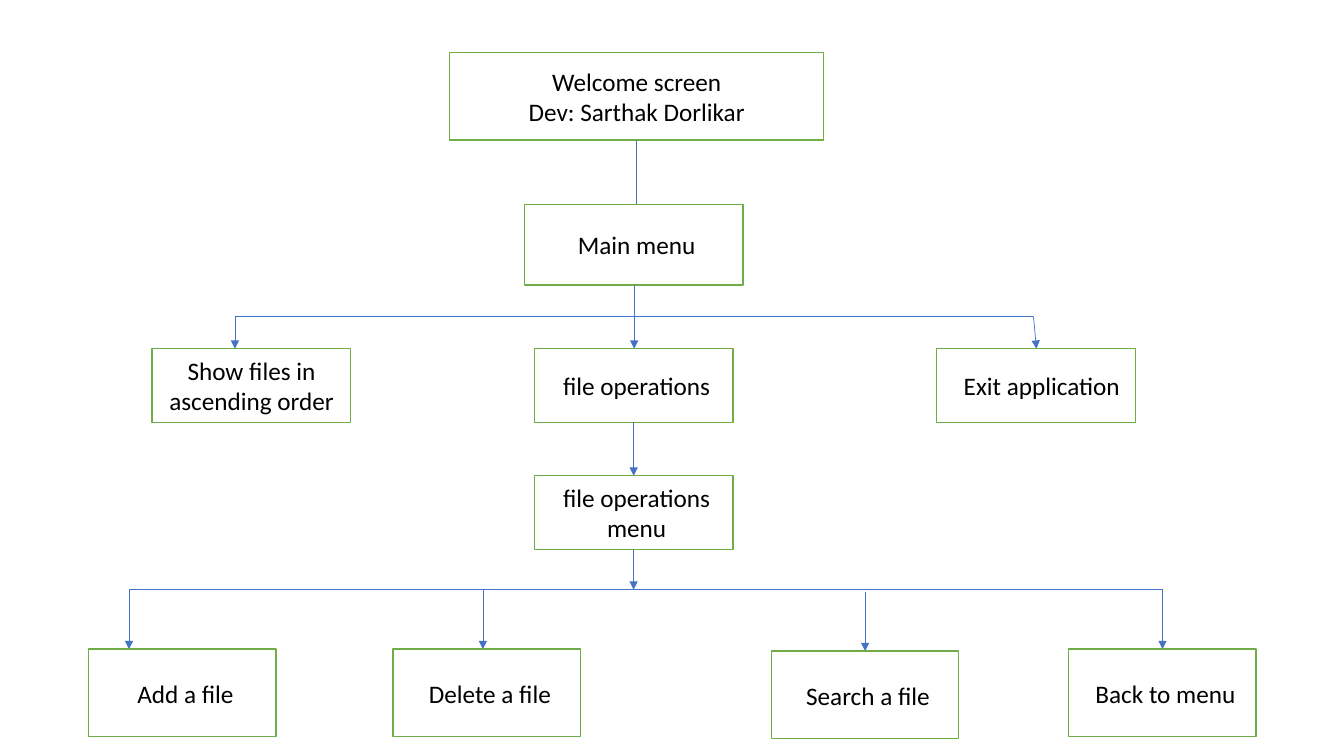
import pptx
import pptx.util
import pptx.dml.color
import pptx.enum.shapes
import pptx.enum.text
import pptx.oxml.ns
import lxml.etree

UNIT = 0.1  # inches per grid column and row
INSET, SPACE = 1, 0.57  # text inset and one indent step, in columns
GREEN, BLUE, WHITE, BLACK = "70AD47", "4472C4", "FFFFFF", "000000"


def grid(n):
    """Turn columns or rows into a length."""
    return pptx.util.Inches(n * UNIT)


def rgb(hex_text):
    """Turn a hex string into a colour."""
    return pptx.dml.color.RGBColor.from_string(hex_text)


def write(tf, text, size=18, font="Calibri", color=BLACK, indent=1):
    """Fill a text frame with centred paragraphs, one a line of text."""
    tf.word_wrap = True
    tf.vertical_anchor = pptx.enum.text.MSO_ANCHOR.MIDDLE
    tf.margin_left = grid(INSET + SPACE * indent)
    for i, line in enumerate(text.split("\n")):
        p = tf.add_paragraph() if i else tf.paragraphs[0]
        p.alignment = pptx.enum.text.PP_ALIGN.CENTER
        r = p.add_run()
        r.text = line
        r.font.size = pptx.util.Pt(size)
        r.font.name = font
        r.font.color.rgb = rgb(color)


def node(s, box, text, **fmt):
    """Draw a green-edged box with its label."""
    sp = s.shapes.add_shape(pptx.enum.shapes.MSO_SHAPE.RECTANGLE, *map(grid, box))
    sp.shadow.inherit = False
    sp.fill.solid()
    sp.fill.fore_color.rgb = rgb(WHITE)
    sp.line.color.rgb = rgb(GREEN)
    sp.line.width = pptx.util.Pt(1)
    write(sp.text_frame, text, **fmt)


def link(s, x1, y1, x2, y2, arrow=True):
    """Draw a thin blue line, with an arrowhead at its end if asked."""
    c = s.shapes.add_connector(
        pptx.enum.shapes.MSO_CONNECTOR.STRAIGHT, *map(grid, (x1, y1, x2, y2)))
    c.line.color.rgb = rgb(BLUE)
    c.line.width = pptx.util.Pt(0.5)
    qn = pptx.oxml.ns.qn
    if arrow:
        lxml.etree.SubElement(c.line._get_or_add_ln(), qn("a:tailEnd"), type="triangle")
    lxml.etree.SubElement(c._element.spPr, qn("a:effectLst"))


def start_region(s, box):
    """Draw the welcome box, the main menu and the line between them."""
    x, y, w, h = box
    welcome_h, menu_h, menu_w = 8.7, 8, 21.7
    menu_y = y + h - menu_h
    node(s, (x, y, w, welcome_h), "Welcome screen\nDev: Sarthak Dorlikar", indent=0)
    link(s, x + w / 2, y + welcome_h, x + w / 2, menu_y, arrow=False)
    node(s, (x + 7.4, menu_y, menu_w, menu_h), "Main menu")


def branch_region(s, box, size, items):
    """Draw a bus line along the top, and boxes of one size hung from it.

    Each item is label, box left, arrow start, arrow end, drop and indent.
    """
    x, y, w, h = box
    node_w, node_h = size
    node_y = y + h - node_h
    link(s, x + items[0][2], y, x + items[-1][2], y, arrow=False)
    for label, left, start, end, drop, indent in items:
        link(s, x + start, y + drop, x + end, node_y + drop)
        node(s, (x + left, node_y + drop, node_w, node_h), label, indent=indent)


def submenu_region(s, box):
    """Draw the file operations menu with arrows into and out of it."""
    x, y, w, h = box
    gap_in, gap_out = 5.3, 4
    mid = x + w / 2
    link(s, mid, y, mid, y + gap_in)
    node(s, (x, y + gap_in, w, h - gap_in - gap_out), "file operations menu")
    link(s, mid, y + h - gap_out, mid, y + h)


def flow_slide(prs):
    """Lay out the whole menu flow on one slide."""
    s = prs.slides.add_slide(prs.slide_layouts[6])
    start_region(s, (44.6, 5.2, 37.1, 23.1))
    link(s, 62.9, 28.3, 62.9, 31.4, arrow=False)
    branch_region(s, (15.1, 31.4, 97.5, 10.5), (19.7, 7.3), [
        ("Show files in ascending order", 0, 8.2, 8.2, 0, 0),
        ("file operations", 37.9, 47.8, 47.8, 0, 1),
        ("Exit application", 77.8, 87.4, 87.7, 0, 2),
    ])
    submenu_region(s, (53, 41.9, 19.7, 16.6))
    branch_region(s, (8.8, 58.5, 115.8, 14.6), (18.6, 8.7), [
        ("Add a file", 0, 4, 4, 0, 1),
        ("Delete a file", 30.2, 39.1, 39.1, 0, 1),
        ("Search a file", 67.7, 77, 77, 0.2, 1),
        ("Back to menu", 97.2, 106.5, 106.5, 0, 1),
    ])


prs = pptx.Presentation()
prs.slide_width = pptx.util.Inches(13.33)
prs.slide_height = pptx.util.Inches(7.5)
flow_slide(prs)
prs.save("out.pptx")
